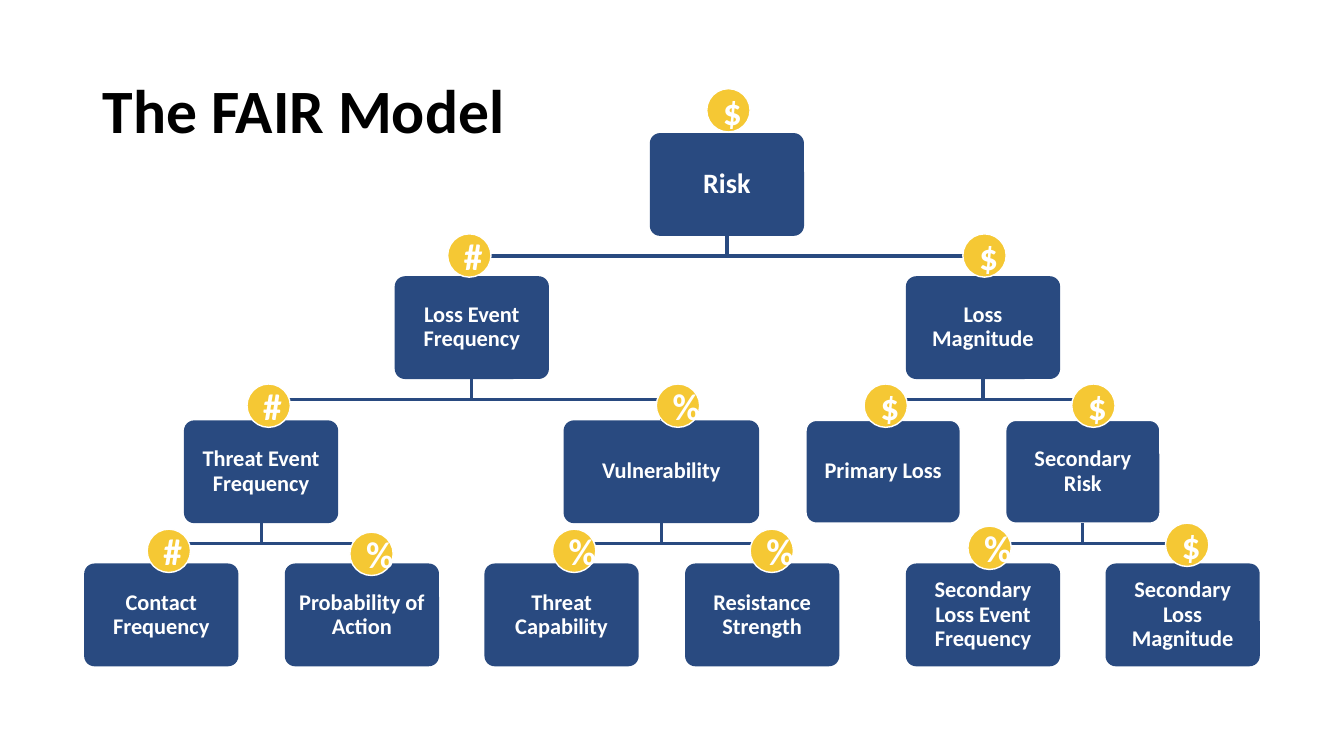
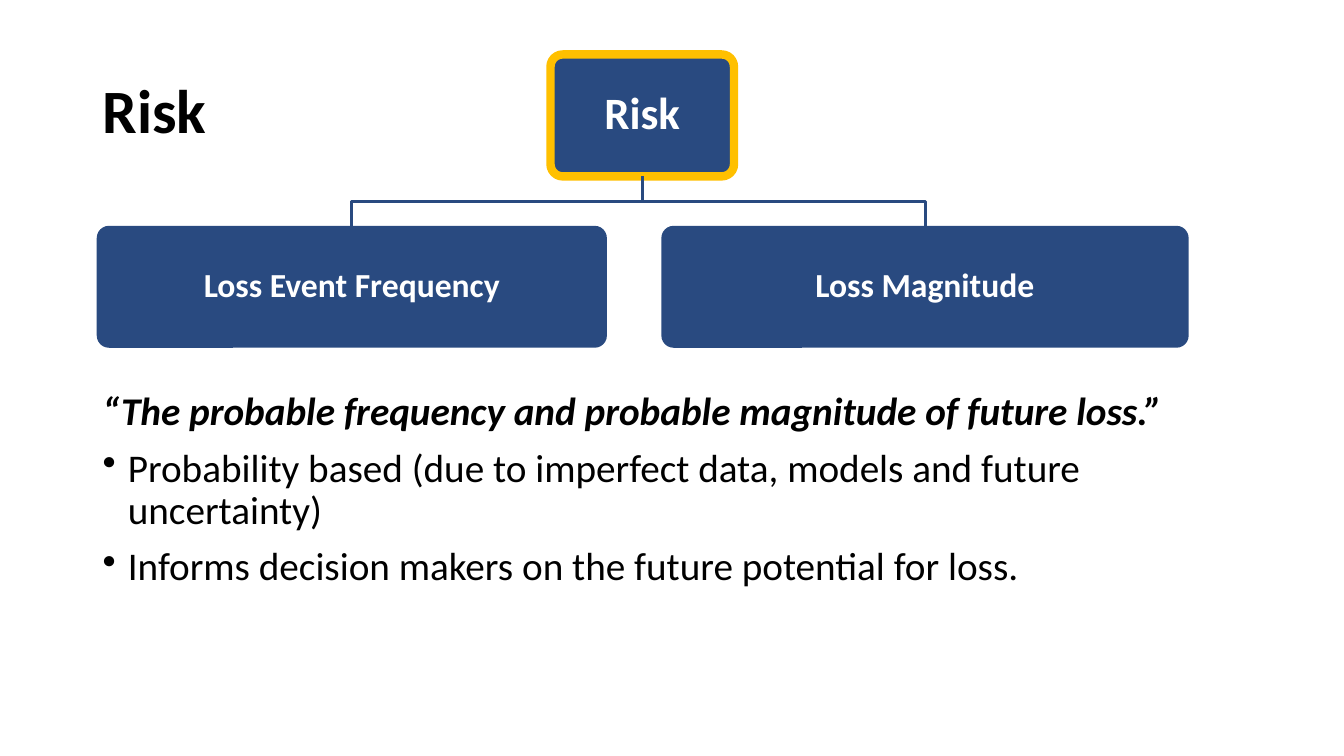
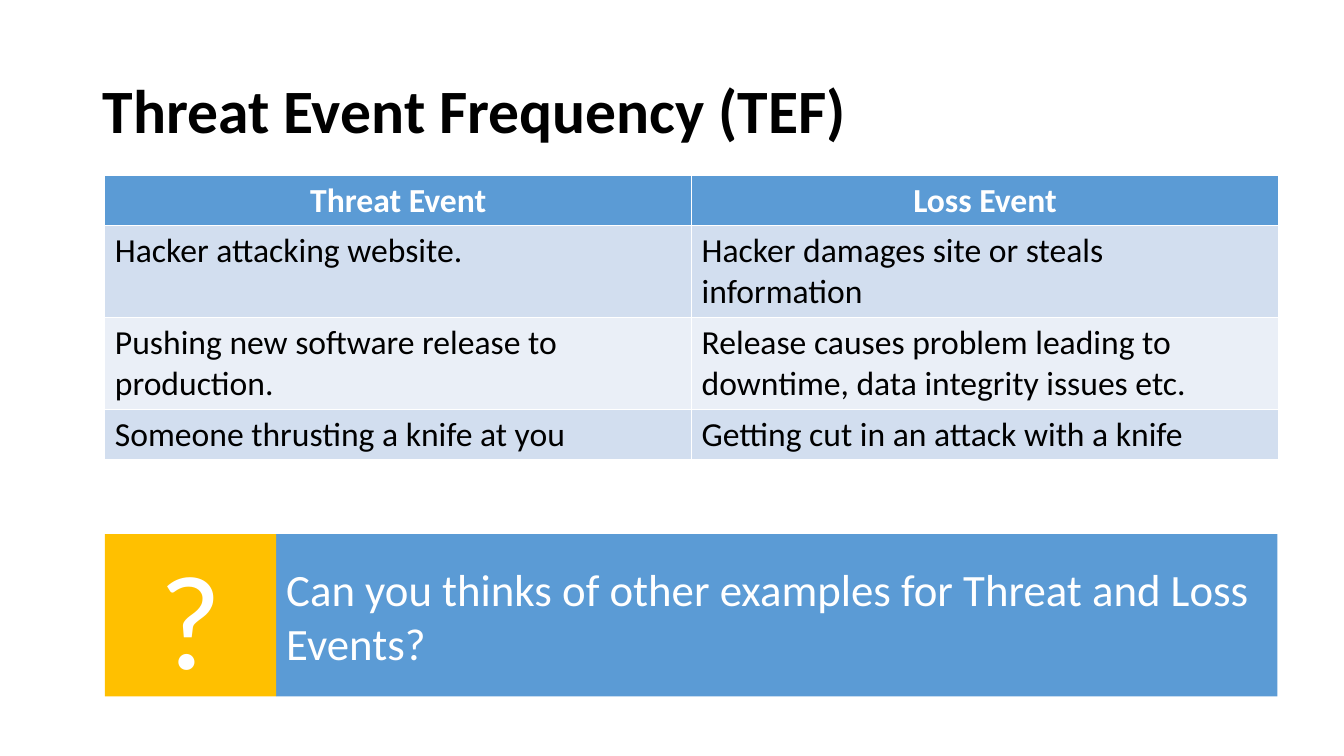
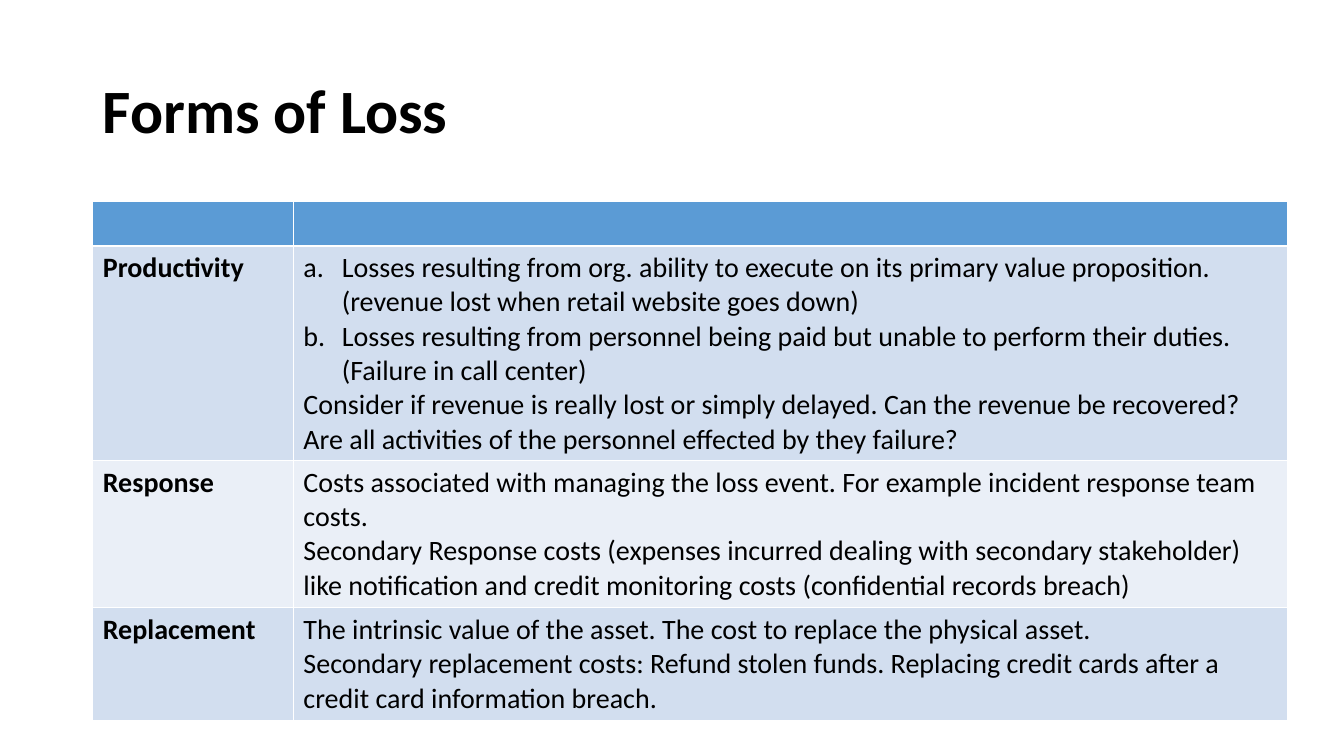
from lxml.etree import SubElement
from pptx import Presentation
from pptx.dml.color import RGBColor
from pptx.enum.shapes import MSO_CONNECTOR, MSO_SHAPE
from pptx.enum.text import MSO_ANCHOR, PP_ALIGN
from pptx.oxml.ns import qn
from pptx.util import Inches, Pt

COLOURS = {
    "text": "000000",
    "white": "FFFFFF",
    "navy": "294A80",
    "badge": "F5C834",
    "amber": "FFC000",
    "blue": "5B9BD5",
    "band_dark": "D2DEEF",
    "band_light": "EAEFF7",
}
FONT = "Calibri"
BOTTOM, TOP = 2, 0


def colour(name):
    return RGBColor.from_string(COLOURS[name])


class Deck:
    """Holds the shared style and the slide being filled."""

    def __init__(self):
        self.presentation = Presentation()
        self.presentation.slide_width = Inches(13.33)
        self.presentation.slide_height = Inches(7.5)
        self.slide = None

    def add_slide(self, title):
        layout = self.presentation.slide_layouts[6]
        self.slide = self.presentation.slides.add_slide(layout)
        frame = self.text_box(0.92, 0.4, 11.5, 1.45)
        frame.vertical_anchor = MSO_ANCHOR.MIDDLE
        self.fill_text(frame, [title], 44, bold=True, spacing=0.9)

    def text_box(self, left, top, width, height):
        box = self.slide.shapes.add_textbox(
            Inches(left), Inches(top), Inches(width), Inches(height))
        box.text_frame.word_wrap = True
        return box.text_frame

    def fill_text(self, frame, lines, size, tint="text", bold=False,
                  align=PP_ALIGN.LEFT, spacing=None, gap=0):
        """Fill a frame; a line is a string or a (string, bullet) pair."""
        for index, line in enumerate(lines):
            text, bullet = line if isinstance(line, tuple) else (line, None)
            paragraph = frame.paragraphs[0] if index == 0 else frame.add_paragraph()
            paragraph.text = text
            if bullet:
                self.add_bullet(paragraph, bullet)
            paragraph.alignment = align
            if spacing:
                paragraph.line_spacing = spacing
            if gap and index:
                paragraph.space_before = Pt(gap)
            font = paragraph.font
            font.name, font.size, font.bold = FONT, Pt(size), bold
            font.color.rgb = colour(tint)

    def add_bullet(self, paragraph, bullet):
        """Use "•" for a bullet sign, or "a." for lettering."""
        properties = paragraph._p.get_or_add_pPr()
        indent = Inches(0.25 if bullet == "•" else 0.38)
        properties.set("marL", str(indent))
        properties.set("indent", str(-indent))
        if bullet == "•":
            SubElement(properties, qn("a:buChar"), char=bullet)
        else:
            SubElement(properties, qn("a:buAutoNum"), type="alphaLcPeriod")

    def shape(self, kind, left, top, width, height, fill, line=None, line_width=1):
        shape = self.slide.shapes.add_shape(
            kind, Inches(left), Inches(top), Inches(width), Inches(height))
        shape.shadow.inherit = False
        shape.fill.solid()
        shape.fill.fore_color.rgb = colour(fill)
        if line:
            shape.line.color.rgb = colour(line)
            shape.line.width = Pt(line_width)
        else:
            shape.line.fill.background()
        shape.text_frame.vertical_anchor = MSO_ANCHOR.MIDDLE
        return shape

    def node(self, label, left, top, width, height, size, line=None, line_width=1):
        box = self.shape(MSO_SHAPE.ROUNDED_RECTANGLE, left, top, width, height,
                         "navy", line, line_width)
        box.adjustments[0] = 0.1
        frame = box.text_frame
        frame.margin_left = frame.margin_right = Inches(0.07)
        frame.margin_top = frame.margin_bottom = Inches(0.07)
        self.fill_text(frame, [label], size, "white", True, PP_ALIGN.CENTER, 0.9)
        return box

    def branch(self, parent, child):
        """Join parent to child with an elbow that leaves and arrives vertically."""
        connector = self.slide.shapes.add_connector(MSO_CONNECTOR.ELBOW, 0, 0, 0, 0)
        connector.begin_connect(parent, BOTTOM)
        connector.end_connect(child, TOP)
        start_x = parent.left + parent.width // 2
        end_x = child.left + child.width // 2
        start_y = parent.top + parent.height
        run, drop = abs(end_x - start_x), child.top - start_y
        # The elbow runs sideways first, so it is turned a quarter about its centre.
        connector.left = (start_x + end_x - drop) // 2
        connector.top = start_y + (drop - run) // 2
        connector.width, connector.height = drop, run
        goes_left = end_x < start_x
        frame = connector._element.spPr.find(qn("a:xfrm"))
        frame.set("rot", "5400000" if goes_left else "16200000")
        frame.set("flipH", "0" if goes_left else "1")
        frame.set("flipV", "0")
        connector.line.color.rgb = colour("navy")
        connector.line.width = Pt(2.25)
        SubElement(connector._element.spPr, qn("a:effectLst"))

    def badge(self, symbol, left, top):
        circle = self.shape(MSO_SHAPE.OVAL, left, top, 0.43, 0.43, "badge", "white")
        self.fill_text(circle.text_frame, [symbol], 26.7, "white", True,
                       PP_ALIGN.CENTER)

    def panel(self, text, left, width, fill, size, align):
        panel = self.shape(MSO_SHAPE.RECTANGLE, left, 5.3, width, 1.61, fill)
        self.fill_text(panel.text_frame, [text], size, "white", align=align)

    def table(self, left, top, widths, heights, rows, size, bold_first_column=False):
        """Each cell is a list of lines; the first row is the header."""
        table = self.slide.shapes.add_table(
            len(rows), len(widths), Inches(left), Inches(top),
            Inches(sum(widths)), Inches(sum(heights))).table
        for column, width in zip(table.columns, widths):
            column.width = Inches(width)
        for row, height in zip(table.rows, heights):
            row.height = Inches(height)
        for row_index, row in enumerate(rows):
            header = row_index == 0
            band = "band_dark" if row_index % 2 else "band_light"
            for column_index, lines in enumerate(row):
                cell = table.cell(row_index, column_index)
                cell.fill.solid()
                cell.fill.fore_color.rgb = colour("blue" if header else band)
                self.fill_text(cell.text_frame, lines, size,
                               "white" if header else "text",
                               header or (bold_first_column and column_index == 0),
                               PP_ALIGN.CENTER if header else PP_ALIGN.LEFT)


def add_model_slide(deck):
    deck.add_slide("The FAIR Model")
    level_tops = [1.32, 2.74, 4.17, 5.59]
    # label, parent, level, centre, badge symbol, badge left, badge top
    nodes = [
        ("Risk", None, 0, 7.21, "$", 7.01, 0.88),
        ("Loss Event Frequency", "Risk", 1, 4.68, "#", 4.44, 2.32),
        ("Loss Magnitude", "Risk", 1, 9.75, "$", 9.55, 2.32),
        ("Threat Event Frequency", "Loss Event Frequency", 2, 2.59, "#", 2.45, 3.81),
        ("Vulnerability", "Loss Event Frequency", 2, 6.56, "%", 6.51, 3.81),
        ("Primary Loss", "Loss Magnitude", 2, 8.76, "$", 8.57, 3.81),
        ("Secondary Risk", "Loss Magnitude", 2, 10.74, "$", 10.63, 3.81),
        ("Contact Frequency", "Threat Event Frequency", 3, 1.6, "#", 1.46, 5.25),
        ("Probability of Action", "Threat Event Frequency", 3, 3.59, "%", 3.47, 5.28),
        ("Threat Capability", "Vulnerability", 3, 5.57, "%", 5.48, 5.25),
        ("Resistance Strength", "Vulnerability", 3, 7.56, "%", 7.44, 5.25),
        ("Secondary Loss Event Frequency", "Secondary Risk", 3, 9.75, "%", 9.6, 5.22),
        ("Secondary Loss Magnitude", "Secondary Risk", 3, 11.73, "$", 11.56, 5.19),
    ]
    boxes = {}
    for label, parent, level, centre, *_ in nodes:
        width = 1.94 if label == "Vulnerability" else 1.53
        outline = "white" if label in ("Primary Loss", "Secondary Risk") else None
        boxes[label] = deck.node(label, centre - width / 2, level_tops[level],
                                 width, 1.02, 16 if parent else 20, outline)
        if parent:
            deck.branch(boxes[parent], boxes[label])
    for *_, symbol, left, top in nodes:
        deck.badge(symbol, left, top)


def add_risk_slide(deck):
    deck.add_slide("Risk")
    frame = deck.text_box(0.92, 3.84, 11.5, 2.91)
    deck.fill_text(frame, [
        "“The probable frequency and probable magnitude of future loss.”",
        ("Probability based (due to imperfect data, models and future uncertainty)", "•"),
        ("Informs decision makers on the future potential for loss.", "•"),
    ], 28, spacing=0.9, gap=10)
    quote = frame.paragraphs[0].font
    quote.bold = quote.italic = True
    risk = deck.node("Risk", 5.46, 0.54, 1.82, 1.21, 32, "amber", 6)
    for label, left, width in [("Loss Event Frequency", 0.96, 5.06),
                               ("Loss Magnitude", 6.56, 5.23)]:
        deck.branch(risk, deck.node(label, left, 2.24, width, 1.21, 24))


def add_threat_slide(deck):
    deck.add_slide("Threat Event Frequency (TEF)")
    deck.table(1.04, 1.74, [5.82, 5.82], [0.5, 0.91, 0.91, 0.5], [
        [["Threat Event"], ["Loss Event"]],
        [["Hacker attacking website."], ["Hacker damages site or steals information"]],
        [["Pushing new software release to production."],
         ["Release causes problem leading to downtime, data integrity issues etc."]],
        [["Someone thrusting a knife at you"], ["Getting cut in an attack with a knife"]],
    ], 24)
    deck.panel("Can you thinks of other examples for Threat and Loss Events?",
               2.74, 9.93, "blue", 32, PP_ALIGN.LEFT)
    deck.panel("?", 1.04, 1.7, "amber", 96, PP_ALIGN.CENTER)


def add_forms_slide(deck):
    deck.add_slide("Forms of Loss")
    deck.table(0.92, 2, [1.99, 9.86], [0.44, 2.13, 1.46, 1.12], [
        [[""], [""]],
        [["Productivity"], [
            ("Losses resulting from org. ability to execute on its primary value "
             "proposition. (revenue lost when retail website goes down)", "a."),
            ("Losses resulting from personnel being paid but unable to perform "
             "their duties. (Failure in call center)", "a."),
            "Consider if revenue is really lost or simply delayed. Can the revenue be "
            "recovered? Are all activities of the personnel effected by they failure?"]],
        [["Response"], [
            "Costs associated with managing the loss event. For example incident "
            "response team costs.",
            "Secondary Response costs (expenses incurred dealing with secondary "
            "stakeholder) like notification and credit monitoring costs "
            "(confidential records breach)"]],
        [["Replacement"], [
            "The intrinsic value of the asset. The cost to replace the physical asset.",
            "Secondary replacement costs: Refund stolen funds. Replacing credit cards "
            "after a credit card information breach."]],
    ], 20, bold_first_column=True)


def main():
    deck = Deck()
    add_model_slide(deck)
    add_risk_slide(deck)
    add_threat_slide(deck)
    add_forms_slide(deck)
    deck.presentation.save("out.pptx")


if __name__ == "__main__":
    main()
